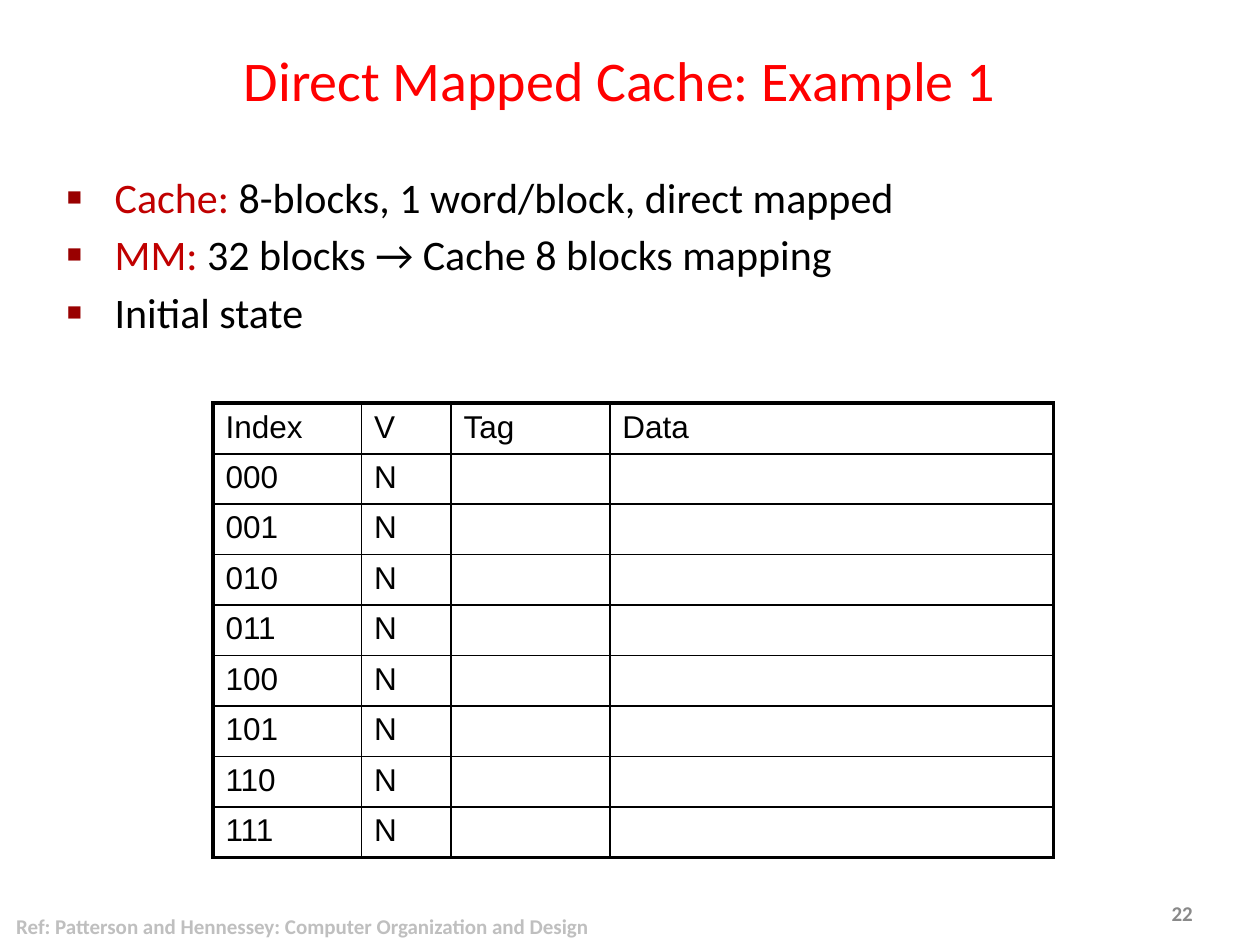
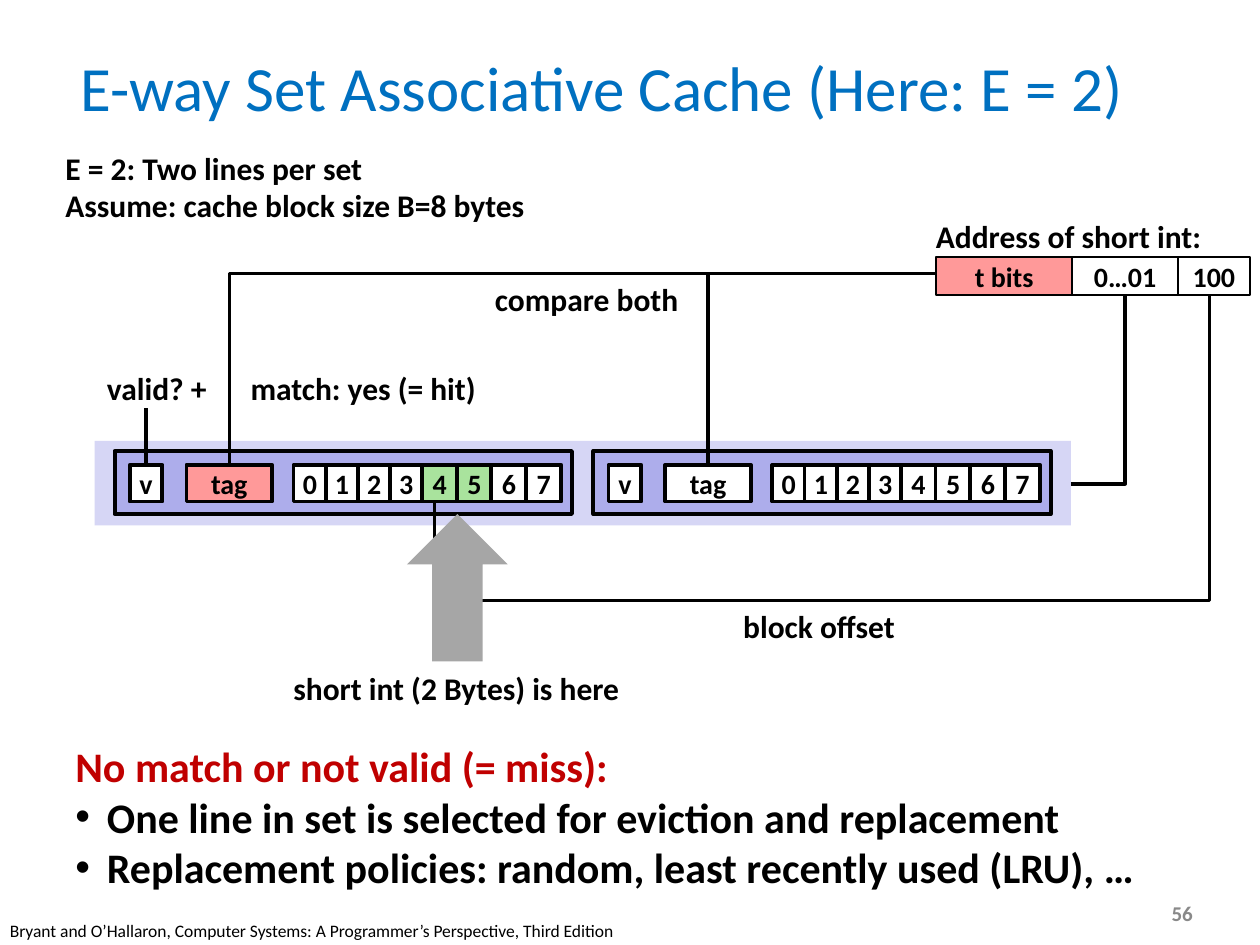
from dataclasses import dataclass
from itertools import accumulate
from typing import Optional

from lxml import etree
from pptx import Presentation
from pptx.dml.color import RGBColor
from pptx.enum.shapes import MSO_CONNECTOR, MSO_SHAPE
from pptx.enum.text import MSO_ANCHOR, MSO_AUTO_SIZE, PP_ALIGN
from pptx.oxml.ns import qn
from pptx.util import Inches, Pt

RECTANGLE, UP_ARROW = MSO_SHAPE.RECTANGLE, MSO_SHAPE.UP_ARROW
STRAIGHT, ELBOW = MSO_CONNECTOR.STRAIGHT, MSO_CONNECTOR.ELBOW
TOP, MIDDLE = MSO_ANCHOR.TOP, MSO_ANCHOR.MIDDLE
CENTER = PP_ALIGN.CENTER
NO_AUTOFIT = MSO_AUTO_SIZE.NONE

BLACK = RGBColor(0x00, 0x00, 0x00)
WHITE = RGBColor(0xFF, 0xFF, 0xFF)
TITLE_RED = RGBColor(0xFF, 0x00, 0x00)
TITLE_BLUE = RGBColor(0x00, 0x70, 0xC0)
DARK_RED = RGBColor(0xC0, 0x00, 0x00)
BULLET_RED = RGBColor(0x99, 0x00, 0x00)
NUMBER_GRAY = RGBColor(0x89, 0x89, 0x89)
FOOTER_GRAY = RGBColor(0xBF, 0xBF, 0xBF)
ARROW_GRAY = RGBColor(0xA6, 0xA6, 0xA6)
TAG_PINK = RGBColor(0xFF, 0x99, 0x99)
HIT_GREEN = RGBColor(0xA9, 0xE3, 0x9D)
SET_LAVENDER = RGBColor(0xD6, 0xD6, 0xF5)
LINE_LAVENDER = RGBColor(0xAD, 0xAD, 0xEB)

BODY_FONT = "Calibri"
TABLE_FONT = "Arial"


@dataclass
class Box:
    left: float
    top: float
    width: float
    height: float

    def lengths(self) -> tuple:
        return tuple(Inches(n) for n in (self.left, self.top, self.width, self.height))


@dataclass
class Label:
    text: str
    box: Box
    size: int = 18
    color: RGBColor = BLACK
    bold: bool = True
    anchor: MSO_ANCHOR = TOP


@dataclass
class Bullet:
    character: str
    indent: float
    color: RGBColor
    percent: int = 100


# Shared helpers
def set_font(font, size: int, color: RGBColor, bold: bool = False, name: str = BODY_FONT) -> None:
    font.name, font.size, font.bold = name, Pt(size), bold
    font.color.rgb = color


def add_bullet(paragraph, bullet: Bullet) -> None:
    properties = paragraph._p.get_or_add_pPr()
    properties.set("marL", str(Inches(bullet.indent)))
    properties.set("indent", str(-Inches(bullet.indent)))
    color = etree.SubElement(properties, qn("a:buClr"))
    etree.SubElement(color, qn("a:srgbClr"), val=str(bullet.color))
    etree.SubElement(properties, qn("a:buSzPct"), val=str(bullet.percent * 1000))
    etree.SubElement(properties, qn("a:buFont"), typeface=TABLE_FONT)
    etree.SubElement(properties, qn("a:buChar"), char=bullet.character)


def place(shape, box: Box) -> None:
    shape.left, shape.top, shape.width, shape.height = box.lengths()


def add_label(slide, label: Label):
    frame = slide.shapes.add_textbox(*label.box.lengths()).text_frame
    frame.word_wrap = True
    frame.vertical_anchor = label.anchor
    frame.text = label.text
    for paragraph in frame.paragraphs:
        set_font(paragraph.font, label.size, label.color, label.bold)
    return frame


def add_block(slide, box: Box, fill: RGBColor, line_width: float = 0, text: str = "",
              kind: MSO_SHAPE = RECTANGLE) -> None:
    shape = slide.shapes.add_shape(kind, *box.lengths())
    shape.shadow.inherit = False
    shape.fill.solid()
    shape.fill.fore_color.rgb = fill
    if line_width:
        shape.line.color.rgb = BLACK
        shape.line.width = Pt(line_width)
    else:
        shape.line.fill.background()
    if text:
        frame = shape.text_frame
        frame.margin_left = frame.margin_right = frame.margin_top = frame.margin_bottom = 0
        frame.word_wrap = False
        frame.vertical_anchor = MIDDLE
        frame.text = text
        paragraph = frame.paragraphs[0]
        paragraph.alignment = CENTER
        set_font(paragraph.font, 16, BLACK, True)


def add_wire(slide, start: tuple, end: tuple, bend: Optional[float] = None,
             vertical: bool = False) -> None:
    """Draw a wire; bend is the turning point as a share of its first direction."""
    (x1, y1), (x2, y2) = start, end
    if vertical:  # leaves downwards to the left: a quarter turn of the usual elbow
        middle_x, middle_y = (x1 + x2) / 2, (y1 + y2) / 2
        half_width, half_height = (y2 - y1) / 2, (x1 - x2) / 2
        x1, x2 = middle_x - half_width, middle_x + half_width
        y1, y2 = middle_y - half_height, middle_y + half_height
    connector = slide.shapes.add_connector(
        STRAIGHT if bend is None else ELBOW, *(Inches(n) for n in (x1, y1, x2, y2)))
    connector.line.color.rgb = BLACK
    connector.line.width = Pt(2)
    properties = connector.element.spPr
    etree.SubElement(properties, qn("a:effectLst"))
    if vertical:
        properties.find(qn("a:xfrm")).set("rot", "5400000")
    if bend is not None:
        adjustments = properties.find(qn("a:prstGeom")).find(qn("a:avLst"))
        etree.SubElement(adjustments, qn("a:gd"), name="adj1", fmla=f"val {round(bend * 100000)}")


def start_slide(presentation, layout: int, title: Label, number: str, footer: Label):
    slide = presentation.slides.add_slide(presentation.slide_layouts[layout])
    shape = slide.shapes.title
    place(shape, title.box)
    frame = shape.text_frame
    frame.auto_size = NO_AUTOFIT
    frame.vertical_anchor = MIDDLE
    frame.text = title.text
    frame.paragraphs[0].alignment = CENTER
    set_font(frame.paragraphs[0].font, title.size, title.color, title.bold)
    add_label(slide, Label(number, Box(9.2, 7.1, 0.4, 0.3), 12, NUMBER_GRAY, anchor=MIDDLE))
    add_label(slide, footer)
    return slide


# Direct mapped cache
def set_borders(cell, widths: dict) -> None:
    properties = cell._tc.get_or_add_tcPr()
    for side, width in widths.items():
        line = etree.SubElement(properties, qn(f"a:ln{side}"), w=str(Pt(width)))
        fill = etree.SubElement(line, qn("a:solidFill"))
        etree.SubElement(fill, qn("a:srgbClr"), val=str(BLACK))


def add_cache_table(slide) -> None:
    rows = [("Index", "V", "Tag", "Data")]
    rows += [(f"{index:03b}", "N", "", "") for index in range(8)]
    widths = (1.18, 0.71, 1.26, 3.52)
    last_row, last_column = len(rows) - 1, len(widths) - 1
    outer, header, inner = 2.25, 1.5, 1
    box = Box(1.69, 3.2, sum(widths), 0.4 * len(rows))
    table = slide.shapes.add_table(len(rows), len(widths), *box.lengths()).table
    table.first_row = table.horz_banding = False
    for column, width in zip(table.columns, widths):
        column.width = Inches(width)
    for r, values in enumerate(rows):
        table.rows[r].height = Inches(0.4)
        for c, value in enumerate(values):
            cell = table.cell(r, c)
            cell.text = value
            set_font(cell.text_frame.paragraphs[0].font, 18, BLACK, name=TABLE_FONT)
            set_borders(cell, {
                "L": outer if c == 0 else inner,
                "R": outer if c == last_column else inner,
                "T": outer if r == 0 else header if r == 1 else inner,
                "B": outer if r == last_row else header if r == 0 else inner,
            })
            cell.fill.background()


def build_direct_mapped(presentation) -> None:
    slide = start_slide(
        presentation, 1,
        Label("Direct Mapped Cache: Example 1", Box(0.43, 0.21, 8.98, 0.83), 32, TITLE_RED, False),
        "22",
        Label("Ref: Patterson and Hennessey: Computer Organization and Design",
              Box(0.03, 7.2, 4.8, 0.3), 12, FOOTER_GRAY, anchor=MIDDLE))
    body = slide.placeholders[1]
    place(body, Box(0.43, 1.31, 8.98, 1.8))
    frame = body.text_frame
    frame.auto_size = NO_AUTOFIT
    facts = [("Cache:", " 8-blocks, 1 word/block, direct mapped"),
             ("MM:", " 32 blocks → Cache 8 blocks mapping"),
             ("", "Initial state")]
    for position, (term, detail) in enumerate(facts):
        paragraph = frame.add_paragraph() if position else frame.paragraphs[0]
        add_bullet(paragraph, Bullet("■", 0.38, BULLET_RED, 60))
        paragraph.space_before = Pt(4 if position else 0)
        set_font(paragraph.font, 24, BLACK)
        if term:
            run = paragraph.add_run()
            run.text = term
            run.font.color.rgb = DARK_RED
        paragraph.add_run().text = detail
    add_cache_table(slide)


# Two-way set associative cache
def add_cache_line(slide, left: float, tag_fill: RGBColor, hit_bytes: tuple = ()) -> None:
    add_block(slide, Box(left, 3.58, 3.63, 0.5), LINE_LAVENDER, 2.25)
    cells = [("v", 0.12, 0.26, WHITE), ("tag", 0.57, 0.68, tag_fill)]
    byte_widths = [0.26] * 4 + [0.28] * 4
    byte_lefts = accumulate([1.42] + [width - 0.005 for width in byte_widths[:-1]])
    for byte, (offset, width) in enumerate(zip(byte_lefts, byte_widths)):
        cells.append((str(byte), offset, width, HIT_GREEN if byte in hit_bytes else WHITE))
    for text, offset, width, fill in cells:
        add_block(slide, Box(left + offset, 3.69, width, 0.29), fill, 2.25, text)


def build_set_associative(presentation) -> None:
    slide = start_slide(
        presentation, 5,
        Label("E-way Set Associative Cache (Here: E = 2)", Box(0.42, 0.27, 8.71, 0.83),
              36, TITLE_BLUE, False),
        "56",
        Label("Bryant and O’Hallaron, Computer Systems: A Programmer’s Perspective, Third Edition",
              Box(-0.02, 7.25, 5.08, 0.25), 10, BLACK, False))

    # Address fields
    fields = [("t bits", 1.08, TAG_PINK), ("0…01", 0.84, WHITE), ("100", 0.57, WHITE)]
    left = 7.43
    for text, width, fill in fields:
        add_block(slide, Box(left, 2.04, width, 0.3), fill, 1, text)
        left += width

    # Cache set with its two lines
    add_block(slide, Box(0.75, 3.5, 7.75, 0.67), SET_LAVENDER)
    add_cache_line(slide, 0.91, TAG_PINK, hit_bytes=(4, 5))
    add_cache_line(slide, 4.71, WHITE)

    # Wires from the address to the cache
    add_wire(slide, (8.5, 3.84), (8.93, 2.34), bend=1)
    for tag_center in (5.62, 1.82):
        add_wire(slide, (7.43, 2.17), (tag_center, 3.68), bend=1)
    add_wire(slide, (1.16, 3.24), (1.16, 3.68))
    add_wire(slide, (9.6, 2.34), (3.45, 3.98), bend=1.48, vertical=True)
    add_block(slide, Box(3.23, 4.08, 0.8, 1.17), ARROW_GRAY, kind=UP_ARROW)

    # Captions
    for caption in (
        Label("E = 2: Two lines per set\nAssume: cache block size B=8 bytes",
              Box(0.42, 1.13, 3.88, 0.71)),
        Label("Address of short int:", Box(7.33, 1.67, 2.33, 0.4)),
        Label("compare both", Box(3.83, 2.17, 1.67, 0.4)),
        Label("valid? +", Box(0.75, 2.88, 1.12, 0.4)),
        Label("match: yes (= hit)", Box(1.89, 2.88, 2.01, 0.4)),
        Label("block offset", Box(5.8, 4.77, 1.42, 0.4)),
        Label("short int (2 Bytes) is here", Box(2.23, 5.26, 2.81, 0.4)),
    ):
        add_label(slide, caption)

    # Miss handling
    frame = add_label(slide, Label("No match or not valid (= miss):",
                                   Box(0.5, 5.83, 8.73, 1.31), 24, DARK_RED))
    for text in ("One line in set is selected for eviction and replacement",
                 "Replacement policies: random, least recently used (LRU), …"):
        paragraph = frame.add_paragraph()
        add_bullet(paragraph, Bullet("•", 0.25, BLACK))
        paragraph.text = text
        set_font(paragraph.font, 24, BLACK, True)


def main() -> None:
    presentation = Presentation()
    presentation.slide_width, presentation.slide_height = Inches(10), Inches(7.5)
    build_direct_mapped(presentation)
    build_set_associative(presentation)
    presentation.save("out.pptx")


if __name__ == "__main__":
    main()
